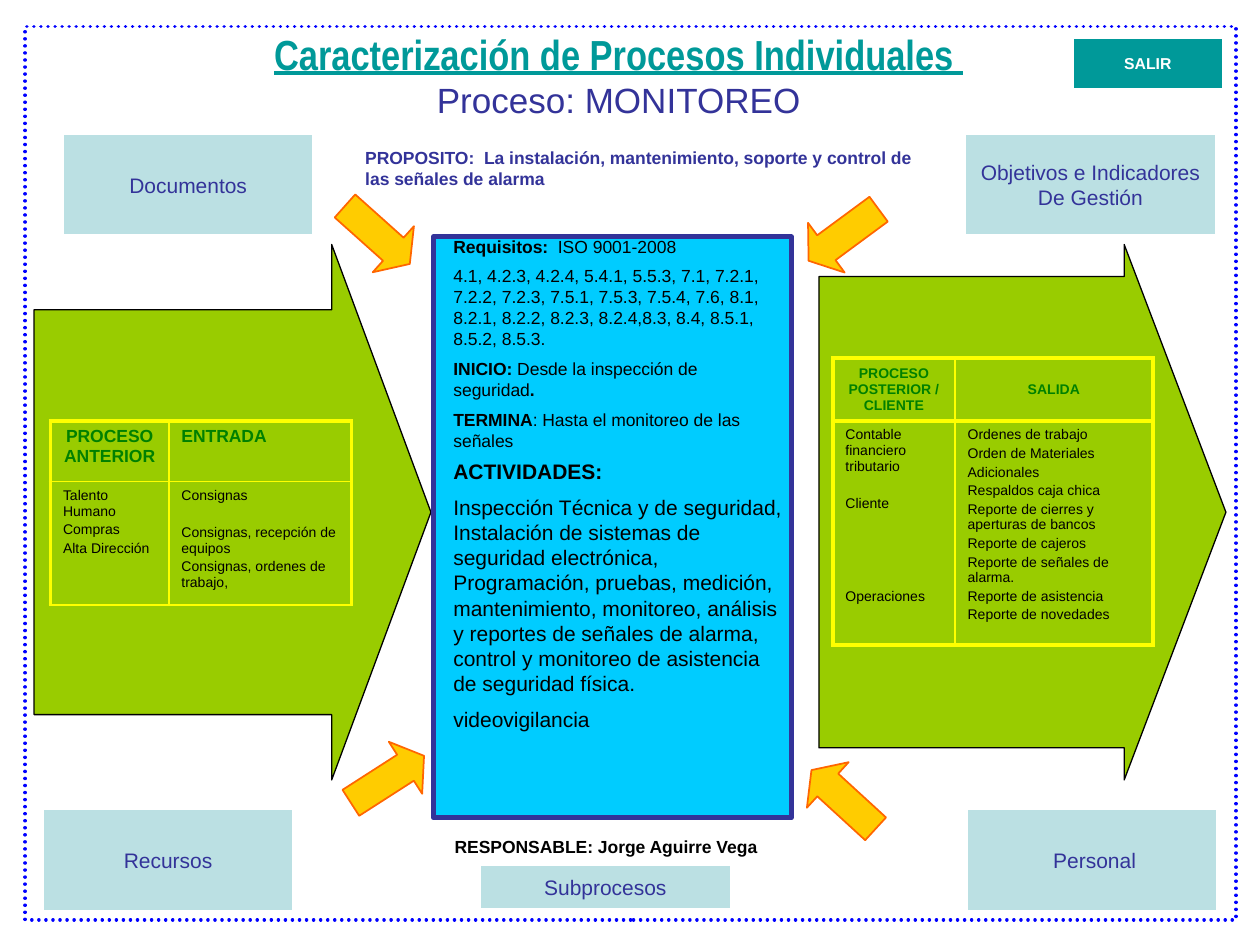
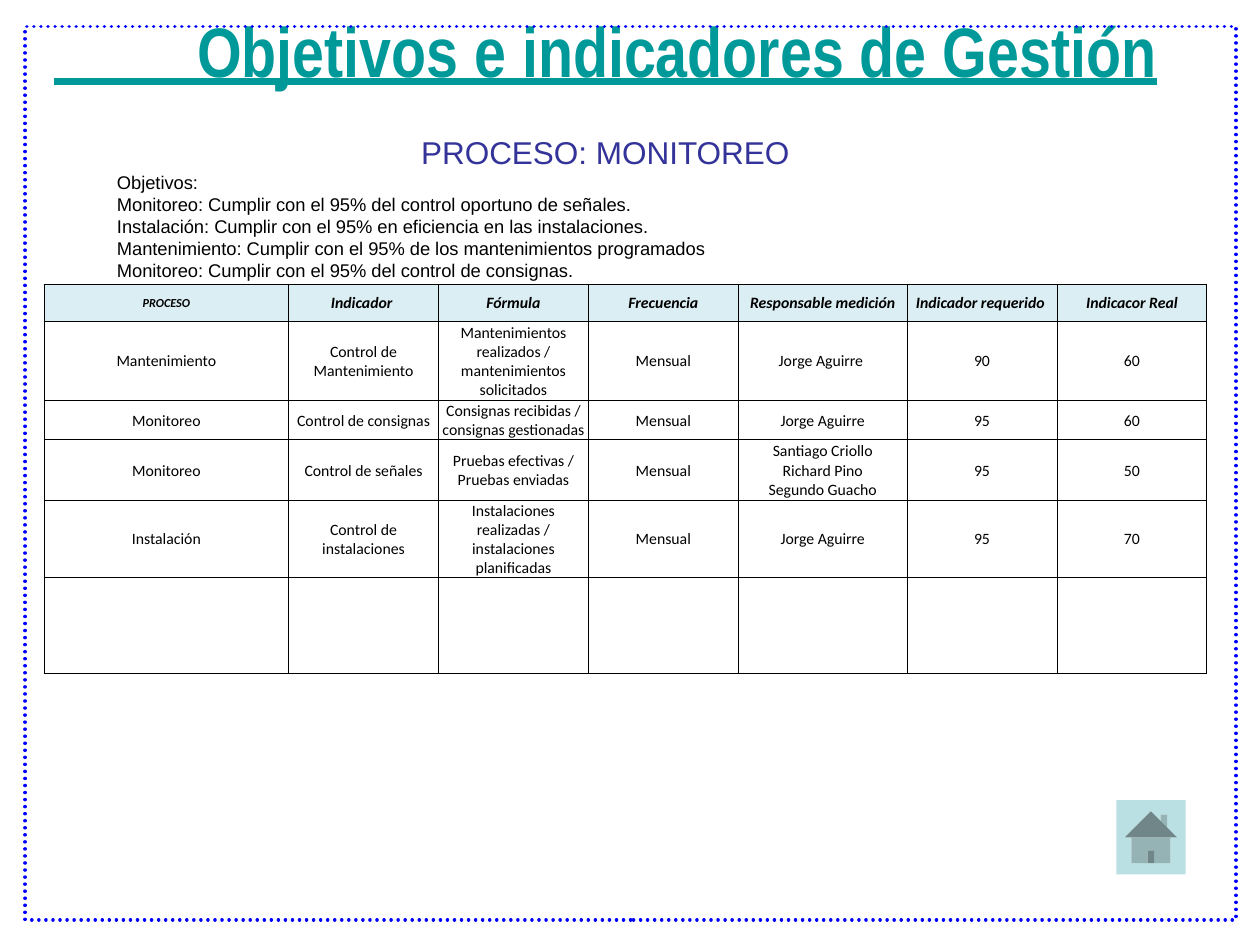
from dataclasses import dataclass

from lxml import etree
from pptx import Presentation
from pptx.dml.color import RGBColor
from pptx.enum import dml, shapes, text
from pptx.oxml import ns
from pptx.util import Inches, Pt

SHAPE = shapes.MSO_SHAPE
ALIGN = text.PP_ALIGN
ANCHOR = text.MSO_ANCHOR


@dataclass(frozen=True)
class Theme:
    teal: str = "009999"
    indigo: str = "333399"
    pale: str = "BBE0E3"
    header: str = "DBEEF3"
    green: str = "99CC00"
    dark_green: str = "008000"
    yellow: str = "FFFF00"
    cyan: str = "00CCFF"
    gold: str = "FFCC00"
    orange: str = "FF6600"
    blue: str = "0000FF"
    black: str = "000000"
    white: str = "FFFFFF"
    font: str = "Arial"
    title_font: str = "Arial Narrow"
    table_font: str = "Calibri"
    tiny: float = 7
    small: float = 8
    cell: float = 9
    body: float = 10
    goal: float = 10.5
    label: float = 12
    subtitle: float = 18
    process_name: float = 20
    process_title: float = 24
    title: float = 40


T = Theme()


def inches(*lengths):
    return [Inches(n) for n in lengths]


def style_run(r, size, color, bold=False, italic=False, font=T.font, underline=False):
    r.font.size, r.font.name = Pt(size), font
    r.font.bold, r.font.italic, r.font.underline = bold, italic, underline
    r.font.color.rgb = RGBColor.from_string(color)


def write(tf, paragraphs, size, color, bold=False, align=ALIGN.LEFT, before=0,
          spacing=None, **style):
    """Fill tf; a paragraph is a string or a list of (text, bold) runs."""
    for i, content in enumerate(paragraphs):
        p = tf.add_paragraph() if i else tf.paragraphs[0]
        p.alignment, p.space_before = align, Pt(before)
        if spacing:
            p.line_spacing = spacing
        for words, strong in [(content, bold)] if isinstance(content, str) else content:
            r = p.add_run()
            r.text = words
            style_run(r, size, color, strong, **style)


def add_shape(slide, kind, box, fill=None, line=None, width=1.0, adj=(), rotation=0):
    sp = slide.shapes.add_shape(kind, *inches(*box))
    sp.shadow.inherit = False
    sp.rotation = rotation
    for i, value in enumerate(adj):
        sp.adjustments[i] = value
    if fill:
        sp.fill.solid()
        sp.fill.fore_color.rgb = RGBColor.from_string(fill)
    else:
        sp.fill.background()
    if line:
        sp.line.color.rgb = RGBColor.from_string(line)
        sp.line.width = Pt(width)
    else:
        sp.line.fill.background()
    return sp


def add_text(slide, box, paragraphs, size, color=T.black, **style):
    tf = slide.shapes.add_textbox(*inches(*box)).text_frame
    tf.word_wrap = True
    write(tf, paragraphs, size, color, **style)


def add_button(slide, box, lines, fill=T.pale, size=T.label, color=T.indigo, bold=False):
    sp = add_shape(slide, SHAPE.ACTION_BUTTON_CUSTOM, box, fill)
    tf = sp.text_frame
    tf.word_wrap, tf.vertical_anchor = False, ANCHOR.MIDDLE
    write(tf, lines, size, color, bold, ALIGN.CENTER)


def add_frame(slide):
    sp = add_shape(slide, SHAPE.RECTANGLE, (0.2, 0.21, 9.61, 7.09), line=T.blue, width=2)
    sp.line.dash_style = dml.MSO_LINE.ROUND_DOT
    sp.element.spPr.find(ns.qn("a:ln")).set("cap", "rnd")


def set_title(slide, box, heading, heading_size, subtitle, subtitle_size, gap=0):
    title = slide.shapes.title
    title.left, title.top, title.width, title.height = inches(*box)
    tf = title.text_frame
    tf.word_wrap, tf.auto_size = True, text.MSO_AUTO_SIZE.NONE
    tf.vertical_anchor = ANCHOR.BOTTOM
    write(tf, [heading], heading_size, T.teal, True, ALIGN.CENTER,
          font=T.title_font, underline=True)
    p = tf.add_paragraph()
    p.text = subtitle
    p.alignment, p.space_before = ALIGN.CENTER, Pt(gap)
    style_run(p.runs[0], subtitle_size, T.indigo)


def add_grid(slide, left, top, cols, rows):
    shape = slide.shapes.add_table(len(rows), len(cols),
                                   *inches(left, top, sum(cols), sum(rows)))
    table = shape.table
    table.first_row = table.horz_banding = False
    for col, width in zip(table.columns, cols):
        col.width = Inches(width)
    for row, height in zip(table.rows, rows):
        row.height = Inches(height)
    return table


def format_cell(cell, color, borders, fill=None):
    """Draw borders, widths in left, right, top, bottom order, then the fill."""
    tc_pr = cell._tc.get_or_add_tcPr()
    for side, width in zip("LRTB", borders):
        ln = etree.SubElement(tc_pr, ns.qn(f"a:ln{side}"), w=str(Pt(width)))
        solid = etree.SubElement(ln, ns.qn("a:solidFill"))
        etree.SubElement(solid, ns.qn("a:srgbClr"), val=color)
    if fill:
        cell.fill.solid()
        cell.fill.fore_color.rgb = RGBColor.from_string(fill)
    else:
        cell.fill.background()


def flow_table(slide, left, top, cols, rows, headers, items, header_size, aligns,
               fill=None, anchor=ANCHOR.TOP, rule=1.0, bottom=1.0):
    """Two-column table; items are (text, skipped lines) pairs per column."""
    thick, thin = 2.25, 1.0
    table = add_grid(slide, left, top, cols, rows)
    for c in range(2):
        sides = (thin, thick) if c else (thick, thin)
        head, body = table.cell(0, c), table.cell(1, c)
        format_cell(head, T.yellow, (*sides, thick, rule), fill)
        format_cell(body, T.yellow, (*sides, rule, bottom), fill)
        head.vertical_anchor = anchor
        write(head.text_frame, [headers[c]], header_size, T.dark_green, True, aligns[c])
        tf = body.text_frame
        write(tf, [words for words, _ in items[c]], T.small, T.black)
        for p, (_, skipped) in zip(tf.paragraphs, items[c]):
            p.space_before = Pt(1.6 + 10.6 * skipped)


def process_arrow(slide, left, top, width, height, shaft):
    add_shape(slide, SHAPE.RIGHT_ARROW, (left, top, width, height), T.green, T.black,
              0.75, (shaft, 0.25))


def input_region(slide, left, top):
    process_arrow(slide, left, top, 3.15, 4.25, 0.756)
    items = ([("Talento Humano", 0), ("Compras", 0), ("Alta Dirección", 0)],
             [("Consignas", 0), ("Consignas, recepción de equipos", 1),
              ("Consignas, ordenes de trabajo,", 0)])
    flow_table(slide, left + 0.13, top + 1.4, (0.94, 1.45), (0.48, 0.98),
               ("PROCESO ANTERIOR", "ENTRADA"), items, T.body,
               (ALIGN.CENTER, ALIGN.LEFT), fill=T.green)


def output_region(slide, left, top):
    process_arrow(slide, left, top, 3.23, 4.25, 0.88)
    outputs = ("Ordenes de trabajo", "Orden de Materiales", "Adicionales",
               "Respaldos caja chica", "Reporte de cierres y aperturas de bancos",
               "Reporte de cajeros", "Reporte de señales de alarma.",
               "Reporte de asistencia", "Reporte de novedades")
    items = ([("Contable financiero tributario", 0), ("Cliente", 1), ("Operaciones", 4)],
             [(output, 0) for output in outputs])
    flow_table(slide, left + 0.11, top + 0.9, (0.97, 1.57), (0.5, 1.78),
               ("PROCESO POSTERIOR / CLIENTE", "SALIDA"), items, T.small,
               (ALIGN.CENTER, ALIGN.CENTER), anchor=ANCHOR.MIDDLE, rule=2.25, bottom=2.25)


def process_region(slide, left, top):
    add_shape(slide, SHAPE.RECTANGLE, (left, top, 2.84, 4.61), T.cyan, T.indigo, 3)
    requirements = [
        [("Requisitos:  ", True), ("ISO 9001-2008", False)],
        "4.1, 4.2.3, 4.2.4, 5.4.1, 5.5.3, 7.1, 7.2.1, 7.2.2, 7.2.3, 7.5.1, 7.5.3, "
        "7.5.4, 7.6, 8.1, 8.2.1, 8.2.2, 8.2.3, 8.2.4,8.3, 8.4, 8.5.1, 8.5.2, 8.5.3.",
        [("INICIO: ", True), ("Desde la inspección de seguridad", False), (".", True)],
        [("TERMINA", True), (": Hasta el monitoreo de las señales", False)],
    ]
    activities = [
        [("ACTIVIDADES:", True)],
        "Inspección Técnica y de seguridad, Instalación de sistemas de seguridad "
        "electrónica, Programación, pruebas, medición, mantenimiento, monitoreo, "
        "análisis y reportes de señales de alarma, control y monitoreo de asistencia "
        "de seguridad física.",
        "videovigilancia",
    ]
    add_text(slide, (left + 0.06, top - 0.06, 2.76, 2.12), requirements, T.body, before=5)
    add_text(slide, (left + 0.06, top + 1.71, 2.84, 2.32), activities, T.label, before=6)
    add_text(slide, (left + 0.07, top + 4.74, 2.76, 0.23),
             ["RESPONSABLE: Jorge Aguirre Vega"], T.body, bold=True, spacing=0.8, before=4)


def process_slide(slide):
    set_title(slide, (1.3, 0.36, 7.22, 0.65), "Caracterización de Procesos Individuales ",
              T.process_title, "Proceso: MONITOREO", T.process_name)
    output_region(slide, 6.5, 1.94)
    input_region(slide, 0.27, 1.94)
    process_region(slide, 3.44, 1.88)
    add_frame(slide)
    for left, top, rotation in ((2.65, 1.62, 41.8), (6.35, 1.62, 143.6),
                                (6.35, 6.1, 222.5), (2.73, 5.94, 327.3)):
        add_shape(slide, SHAPE.RIGHT_ARROW, (left, top, 0.69, 0.49), T.gold, T.orange,
                  1, (0.5, 0.357), rotation)
    add_text(slide, (2.8, 1.12, 4.72, 0.44),
             ["PROPOSITO:  La instalación, mantenimiento, soporte y control de las "
              "señales de alarma"], T.body, T.indigo, bold=True)
    for left, top, height, lines in (
            (0.51, 1.07, 0.79, ["Documentos"]),
            (7.67, 1.07, 0.79, ["Objetivos e Indicadores", "De Gestión"]),
            (0.35, 6.43, 0.79, ["Recursos"]),
            (7.68, 6.43, 0.79, [" Personal"]),
            (3.82, 6.87, 0.34, ["Subprocesos"])):
        add_button(slide, (left, top, 1.97, height), lines)
    add_button(slide, (8.52, 0.31, 1.18, 0.39), ["SALIR"], T.teal, T.cell, T.white, True)


def indicator_table(slide, left, top):
    rows = (
        ("PROCESO", "Indicador ", "Fórmula", "Frecuencia", "Responsable medición",
         "Indicador requerido ", "Indicacor Real"),
        ("Mantenimiento", "Control de Mantenimiento",
         "Mantenimientos realizados / mantenimientos solicitados", "Mensual",
         "Jorge Aguirre ", "90", "60"),
        ("Monitoreo", "Control de consignas",
         "Consignas recibidas / consignas gestionadas", "Mensual",
         "Jorge Aguirre", "95", "60"),
        ("Monitoreo", "Control de señales", "Pruebas efectivas / Pruebas enviadas",
         "Mensual", "Santiago Criollo\nRichard Pino\nSegundo Guacho", "95", "50"),
        ("Instalación", "Control de instalaciones",
         "Instalaciones realizadas / instalaciones planificadas", "Mensual",
         "Jorge Aguirre", "95", "70"),
        ("",) * 7,
    )
    table = add_grid(slide, left, top, (1.94, 1.19, 1.19, 1.19, 1.34, 1.19, 1.19),
                     (0.29, 0.63, 0.31, 0.48, 0.61, 0.76))
    for r, row in enumerate(rows):
        for c, words in enumerate(row):
            cell, is_header = table.cell(r, c), r == 0
            format_cell(cell, T.black, (0.5,) * 4, T.header if is_header else None)
            cell.vertical_anchor = ANCHOR.MIDDLE
            cell.margin_left = cell.margin_right = cell.margin_top = Inches(0.01)
            cell.margin_bottom = 0
            if words:
                write(cell.text_frame, words.split("\n"),
                      T.tiny if is_header and c == 0 else T.cell, T.black, is_header,
                      ALIGN.CENTER, italic=is_header, font=T.table_font)


def indicators_slide(slide):
    # The underline of the heading starts ahead of its first word.
    set_title(slide, (0, 0.76, 9.61, 0.65),
              " " * 9 + "Objetivos e indicadores de Gestión", T.title,
              "PROCESO: MONITOREO", T.subtitle, gap=24)
    add_frame(slide)
    add_shape(slide, SHAPE.ACTION_BUTTON_HOME, (8.86, 6.35, 0.55, 0.59), T.pale)
    goals = ["Objetivos:",
             "Monitoreo: Cumplir con el 95% del control oportuno de señales.",
             "Instalación: Cumplir con el 95% en eficiencia en las instalaciones.",
             "Mantenimiento: Cumplir con el 95% de los mantenimientos programados",
             "Monitoreo: Cumplir con el 95% del control de consignas."]
    add_text(slide, (0.83, 1.31, 7.95, 1.16), goals, T.goal)
    indicator_table(slide, 0.35, 2.26)


def main():
    prs = Presentation()
    prs.slide_width, prs.slide_height = inches(10, 7.5)
    for build in (process_slide, indicators_slide):
        build(prs.slides.add_slide(prs.slide_layouts[5]))
    prs.save("out.pptx")


if __name__ == "__main__":
    main()
